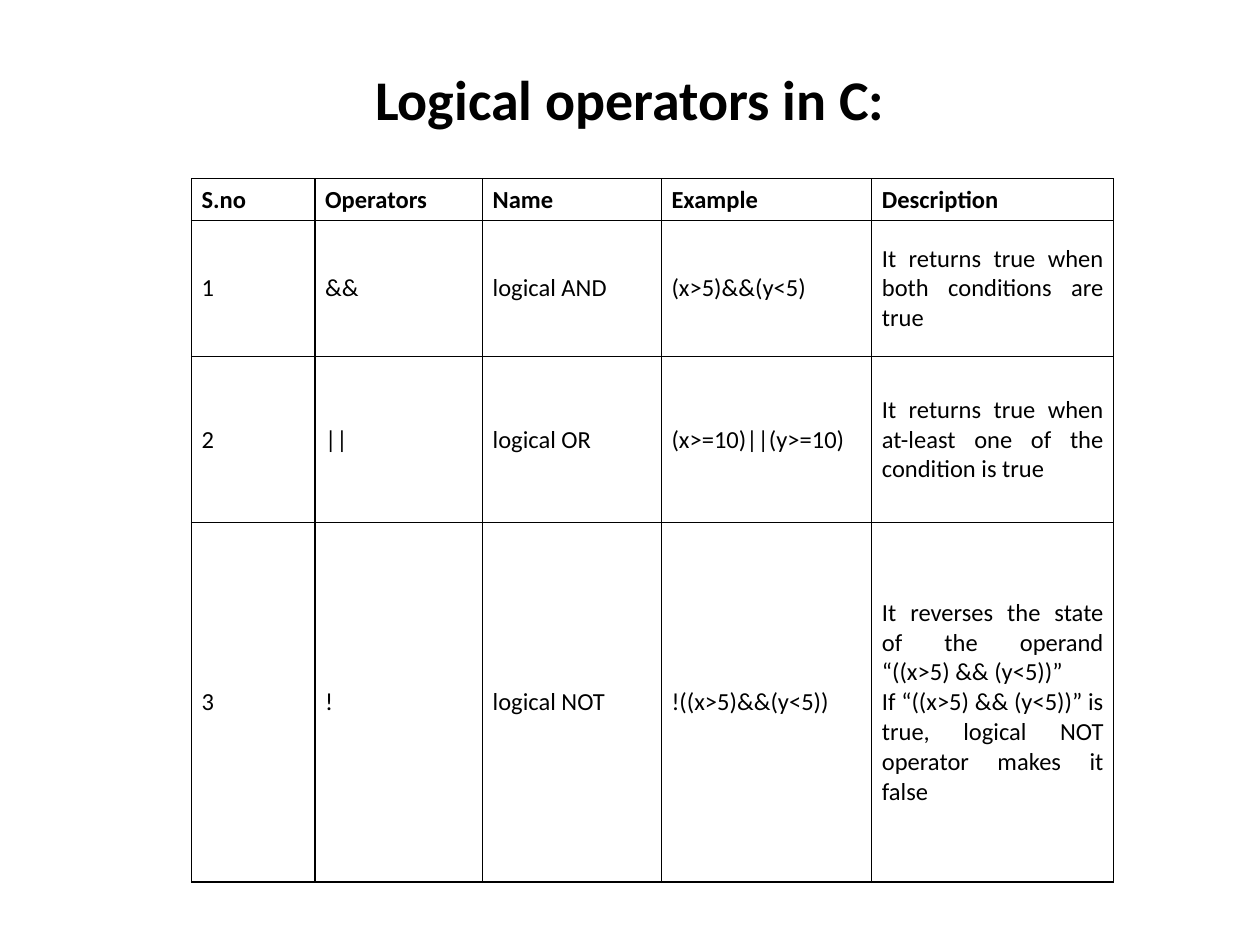
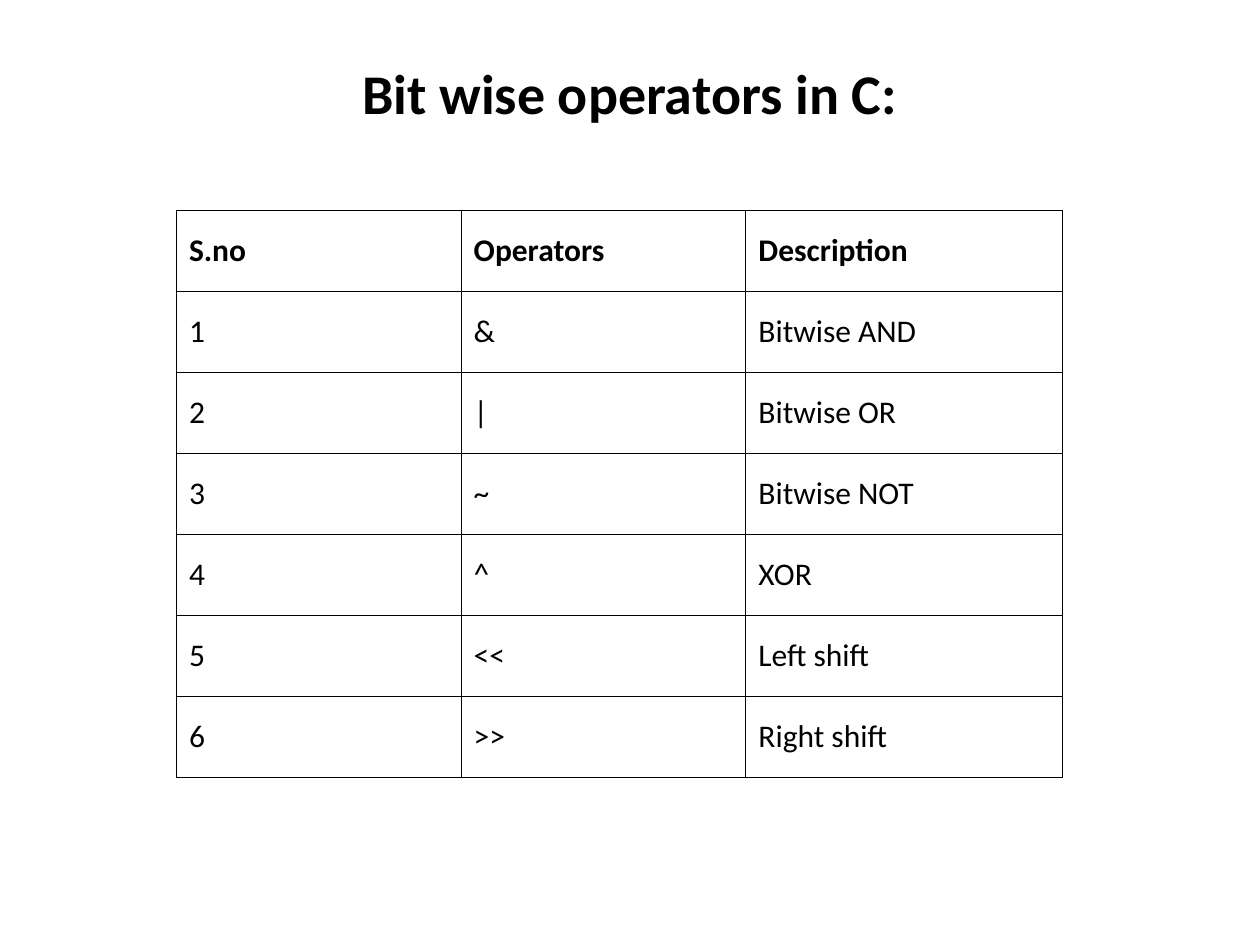
from lxml.etree import SubElement
from pptx import Presentation
from pptx.dml.color import RGBColor
from pptx.enum.text import MSO_ANCHOR as Anchor, PP_ALIGN as Align
from pptx.oxml.ns import qn
from pptx.util import Inches, Pt

# Shared style
FONT = "Calibri"
BLACK, WHITE = "000000", "FFFFFF"
TITLE_SIZE = 32
BORDER_WIDTH = 0.75

# Table contents, header row first
LOGICAL = [
    ["S.no", "Operators", "Name", "Example", "Description"],
    ["1", "&&", "logical AND", "(x>5)&&(y<5)",
     "It returns true when both conditions are true"],
    ["2", "||", "logical OR", "(x>=10)||(y>=10)",
     "It returns true when at-least one of the condition is true"],
    ["3", "!", "logical NOT", "!((x>5)&&(y<5))",
     "It reverses the state of the operand “((x>5) && (y<5))”\n"
     "If “((x>5) && (y<5))” is true, logical NOT operator makes it false"],
]
BITWISE = [
    ["S.no", "Operators", "Description"],
    ["1", "&", "Bitwise AND"],
    ["2", "|", "Bitwise OR"],
    ["3", "~", "Bitwise NOT"],
    ["4", "^", "XOR"],
    ["5", "<<", "Left shift"],
    ["6", ">>", "Right shift"],
]


def color(hex_code):
    return RGBColor.from_string(hex_code)


def style(p, size, bold, align=Align.LEFT):
    p.alignment = align
    p.font.name, p.font.size, p.font.bold = FONT, Pt(size), bold
    p.font.color.rgb = color(BLACK)


def add_slide(prs, title, title_height):
    s = prs.slides.add_slide(prs.slide_layouts[6])
    s.background.fill.solid()
    s.background.fill.fore_color.rgb = color(WHITE)
    box = s.shapes.add_textbox(Inches(0.5), Inches(0.3), Inches(9), Inches(title_height))
    tf = box.text_frame
    tf.word_wrap = True
    tf.vertical_anchor = Anchor.MIDDLE
    tf.text = title
    style(tf.paragraphs[0], TITLE_SIZE, True, Align.CENTER)
    return s


def add_borders(cell):
    tc_pr = cell._tc.get_or_add_tcPr()
    for side in ("lnL", "lnR", "lnT", "lnB"):
        ln = SubElement(tc_pr, qn(f"a:{side}"), w=str(Pt(BORDER_WIDTH)))
        fill = SubElement(ln, qn("a:solidFill"))
        SubElement(fill, qn("a:srgbClr"), val=BLACK)


def fill_cell(cell, text, size, bold, align, margins):
    cell.text = text
    cell.vertical_anchor = Anchor.MIDDLE
    side, top = margins
    cell.margin_left = cell.margin_right = Inches(side)
    cell.margin_top = cell.margin_bottom = Inches(top)
    for p in cell.text_frame.paragraphs:
        style(p, size, bold, align)
    add_borders(cell)
    cell.fill.background()


def add_grid(s, rows, left, top, widths, heights, size,
             margins=(0.1, 0.05), last_align=Align.LEFT):
    """Bordered table with a bold header; last_align sets the last body column."""
    table = s.shapes.add_table(
        len(rows), len(widths), Inches(left), Inches(top),
        Inches(sum(widths)), Inches(sum(heights))).table
    for column, width in zip(table.columns, widths):
        column.width = Inches(width)
    for row, height in zip(table.rows, heights):
        row.height = Inches(height)
    for i, texts in enumerate(rows):
        for j, text in enumerate(texts):
            in_last = i > 0 and j == len(texts) - 1
            align = last_align if in_last else Align.LEFT
            fill_cell(table.cell(i, j), text, size, i == 0, align, margins)


def main():
    prs = Presentation()
    prs.slide_width, prs.slide_height = Inches(10), Inches(7.5)

    # Logical operators
    s = add_slide(prs, "Logical operators in C:", 0.95)
    add_grid(s, LOGICAL, 1.52, 1.42, [0.98, 1.33, 1.42, 1.67, 1.92],
             [0.33, 1.08, 1.32, 2.85], 14, (0.08, 0.04), Align.JUSTIFY)

    # Bitwise operators
    s = add_slide(prs, "Bit wise operators in C:", 0.87)
    add_grid(s, BITWISE, 1.4, 1.67, [2.26, 2.26, 2.51],
             [4.5 / len(BITWISE)] * len(BITWISE), 18)

    prs.save("out.pptx")


if __name__ == "__main__":
    main()
